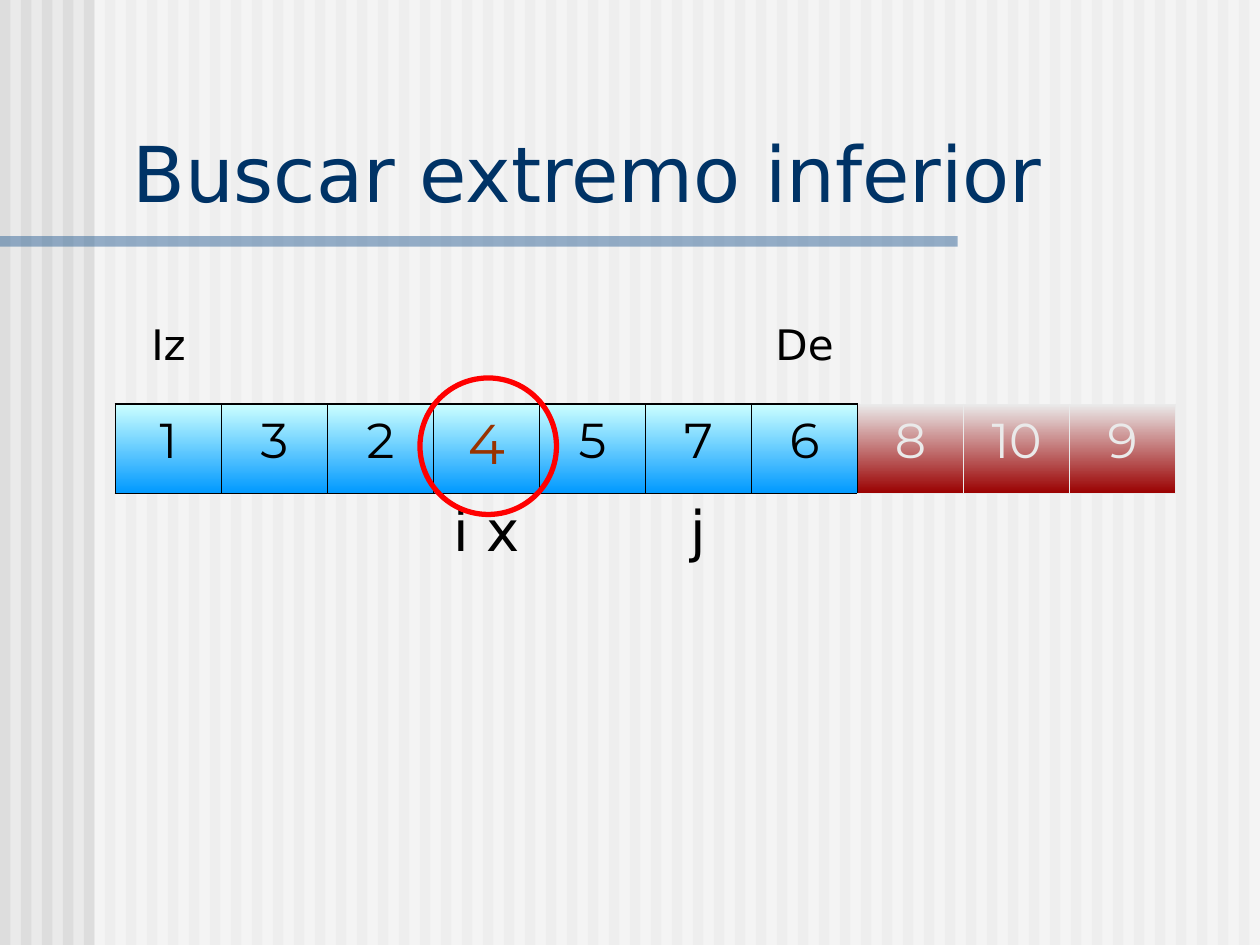
from dataclasses import dataclass
from lxml.etree import SubElement
from pptx import Presentation
from pptx.dml.color import RGBColor as RGB
from pptx.enum.shapes import MSO_SHAPE as Shape
from pptx.enum.text import MSO_ANCHOR as Anchor, PP_ALIGN as Align
from pptx.oxml import parse_xml
from pptx.oxml.ns import nsdecls, qn
from pptx.util import Inches, Pt


@dataclass(frozen=True)
class Theme:
    """Colours, fonts and type sizes."""
    paper: str = "EAEAEA"
    stripe: str = "DDDDDD"
    veil: str = "FFFFFF"
    bar: str = "336699"
    title: str = "003366"
    ink: str = "000000"
    pivot: str = "993300"
    ring: str = "FF0000"
    active: tuple = ("CCFFFF", "0099FF")
    done: tuple = ("EAEAEA", "9A0000")
    sans: str = "DejaVu Sans"
    digits: str = "Montserrat"
    title_size: int = 44
    label_size: int = 24
    value_size: int = 28
    index_size: int = 32


def write(tf, text, size, color, font, align=Align.CENTER, before=0):
    """Put one formatted paragraph in a text frame."""
    p = tf.paragraphs[0]
    p.alignment, p.space_before = align, Pt(before)
    r = p.add_run()
    r.text = text
    r.font.size, r.font.name = Pt(size), font
    r.font.color.rgb = RGB.from_string(color)


class Deck:
    """Draws on one slide over a grid of 120 columns and 90 rows."""

    def __init__(self, prs, theme):
        """Start a title-only slide."""
        self.t = theme
        self.s = prs.slides.add_slide(prs.slide_layouts[5])
        self.unit = prs.slide_width / 120
        fill = self.s.background.fill
        fill.solid()
        fill.fore_color.rgb = RGB.from_string(theme.paper)

    def grid(self, *cells):
        """Turn grid counts into lengths."""
        return [round(c * self.unit) for c in cells]

    def shape(self, kind, box, fill=None, alpha=None, line=None, width=3):
        """Add a preset shape with a fill or an outline."""
        sp = self.s.shapes.add_shape(kind, *self.grid(*box))
        sp.shadow.inherit = False
        if fill:
            sp.fill.solid()
            sp.fill.fore_color.rgb = RGB.from_string(fill)
        else:
            sp.fill.background()
        if alpha:
            clr = sp.element.spPr.find(".//" + qn("a:srgbClr"))
            SubElement(clr, qn("a:alpha"), val=str(alpha * 1000))
        if line:
            sp.line.color.rgb, sp.line.width = RGB.from_string(line), Pt(width)
        else:
            sp.line.fill.background()

    def title(self, text, box):
        """Place the title in front of the backdrop."""
        sp = self.s.shapes.title
        sp.left, sp.top, sp.width, sp.height = self.grid(*box)
        self.s.shapes.element.append(sp.element)
        sp.text_frame.vertical_anchor = Anchor.BOTTOM
        write(sp.text_frame, text, self.t.title_size, self.t.title,
              self.t.sans, Align.LEFT)

    def table(self, x, y, col, rows, count):
        """Add a clear, unstyled table."""
        box = self.grid(x, y, col * count, sum(rows))
        gf = self.s.shapes.add_table(len(rows), count, *box)
        table = gf.table
        table.first_row = table.horz_banding = False
        style = next(gf.element.iter(qn("a:tableStyleId")))
        style.text = "{2D5ABB26-0587-4C30-8999-92F81FD0307C}"
        for c in table.columns:
            c.width = self.grid(col)[0]
        for row, height in zip(table.rows, rows):
            row.height = self.grid(height)[0]
        for cell in table.iter_cells():
            cell.fill.background()
        return table

    def label(self, cell, text, size, color=None, font=None):
        """Write a centred cell text with spacing in step with its size."""
        write(cell.text_frame, text, size, color or self.t.ink,
              font or self.t.sans, before=size / 4)

    def paint(self, cell, colors, **borders):
        """Give a cell a vertical gradient and its borders."""
        cell.fill.gradient()
        cell.fill.gradient_angle = 270
        for stop, color in zip(cell.fill.gradient_stops, colors):
            stop.color.rgb = RGB.from_string(color)
        pr = cell._tc.get_or_add_tcPr()
        for i, side in enumerate("LRTB"):
            color, width = borders[side]
            pr.insert(i, parse_xml(
                f'<a:ln{side} {nsdecls("a")} w="{Pt(width)}"><a:solidFill>'
                f'<a:srgbClr val="{color}"/></a:solidFill></a:ln{side}>'))


def main():
    """Build the slide."""
    t = Theme()
    prs = Presentation()
    prs.slide_width, prs.slide_height = Inches(10), Inches(7.5)
    deck = Deck(prs, t)
    for i in range(60):
        deck.shape(Shape.RECTANGLE, (2 * i, 0, 1, 90), t.stripe)
    deck.shape(Shape.RECTANGLE, (9, 0, 111, 90), t.veil, 50)
    deck.shape(Shape.RECTANGLE, (0, 22.5, 91.2, 1), t.bar, 50)

    values, sorted_from, pivot = [1, 3, 2, 4, 5, 7, 6, 8, 10, 9], 7, 3
    table = deck.table(11, 30, 10.1, (8.5, 8.5, 15.4), len(values))
    thick, thin, pale = (t.ink, 1.08), (t.ink, 0.45), (t.paper, 0.45)
    for i, value in enumerate(values):
        cell, active = table.cell(1, i), i < sorted_from
        side, edge = (thin, thick) if active else (pale, pale)
        left = thick if i == 0 else thin if i <= sorted_from else pale
        deck.paint(cell, t.active if active else t.done,
                   L=left, R=side, T=edge, B=edge)
        color = t.pivot if i == pivot else t.ink if active else t.paper
        size = t.index_size if i == pivot else t.value_size
        deck.label(cell, str(value), size, color, t.digits)
    for row, i, text, size in ((0, 0, "Iz", t.label_size),
                               (0, 6, "De", t.label_size),
                               (2, pivot, "i x", t.index_size),
                               (2, 5, "j", t.index_size)):
        deck.label(table.cell(row, i), text, size)

    deck.title("Buscar extremo inferior", (11.4, 11.3, 107.2, 10.1))
    deck.shape(Shape.OVAL, (40, 36, 13, 13), line=t.ring)
    prs.save("out.pptx")


main()
